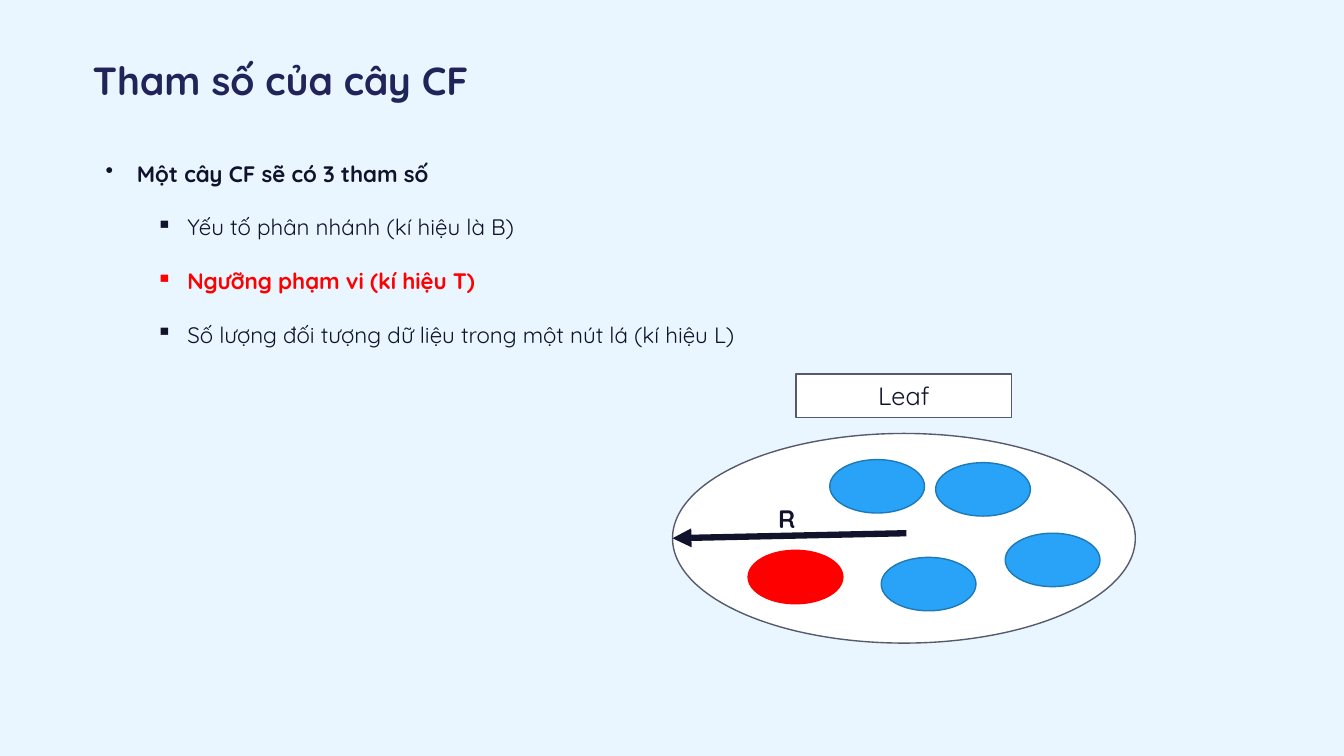
import pptx
import pptx.dml.color
import pptx.enum.shapes
import pptx.enum.text
import pptx.oxml
import pptx.oxml.ns
import pptx.util

Inches, Pt = pptx.util.Inches, pptx.util.Pt
SHAPE = pptx.enum.shapes.MSO_SHAPE
FONT = "Quicksand"
COLORS = {
    "background": "EAF6FF", "title": "212459", "ink": "10132B", "red": "FF0000",
    "white": "FFFFFF", "outline": "555B6C", "blue": "29A3F7", "blue edge": "1E79B7",
}

TITLE = "Tham số của cây CF"
# level, text, colour, bold
PARAMETERS = [
    (0, "Một cây CF sẽ có 3 tham số", "ink", True),
    (1, "Yếu tố phân nhánh (kí hiệu là B)", "ink", False),
    (1, "Ngưỡng phạm vi (kí hiệu T)", "red", True),
    (1, "Số lượng đối tượng dữ liệu trong một nút lá (kí hiệu L)", "ink", False),
]
BULLETS = "•▪"
INDENT, LEVEL_STEP = 0.31, 0.5

LEAF = (6.67, 4.3, 4.59, 2.08)
LABEL_WIDTH, LABEL_HEIGHT, LABEL_TOP = 2.14, 0.43, 3.71
ENTRY_SIZE = (0.94, 0.53)
ENTRIES = [(8.74, 5.53), (8.23, 4.56), (9.97, 5.29), (9.28, 4.59)]
NEW_ENTRY = (7.42, 5.46)
RADIUS_START = (8.99, 5.29)


def color(name):
    return pptx.dml.color.RGBColor.from_string(COLORS[name])


def style(font, size, ink, bold=False):
    font.name, font.size, font.bold = FONT, Pt(size), bold
    font.color.rgb = color(ink)


def add_text(page, place, wrap=True):
    frame = page.shapes.add_textbox(*map(Inches, place)).text_frame
    frame.word_wrap = wrap
    frame.auto_size = pptx.enum.text.MSO_AUTO_SIZE.SHAPE_TO_FIT_TEXT
    return frame


def add_line_of_text(page, place, text, size, ink, wrap=True):
    frame = add_text(page, place, wrap)
    frame.text = text
    style(frame.paragraphs[0].runs[0].font, size, ink, True)


def add_figure(page, kind, place, fill, edge):
    shape = page.shapes.add_shape(kind, *map(Inches, place))
    shape.shadow.inherit = False
    shape.fill.solid()
    shape.fill.fore_color.rgb = color(fill)
    shape.line.color.rgb = color(edge)
    shape.line.width = Pt(1)
    return shape


def add_bullet(para, level):
    properties = para._p.get_or_add_pPr()
    properties.set("marL", str(Inches(INDENT + level * LEVEL_STEP)))
    properties.set("indent", str(-Inches(INDENT)))
    bullet = pptx.oxml.parse_xml(
        f'<a:buChar {pptx.oxml.ns.nsdecls("a")} char="{BULLETS[level]}"/>')
    properties.append(bullet)


def add_parameters(page):
    frame = add_text(page, (0.95, 1.27, 9.72, 2.19))
    for index, (level, text, ink, bold) in enumerate(PARAMETERS):
        para = frame.add_paragraph() if index else frame.paragraphs[0]
        para.text = text
        para.level = level
        para.line_spacing = 2.0
        add_bullet(para, level)
        style(para.runs[0].font, 16, ink, bold)


def add_radius(page):
    left, top, _, height = LEAF
    ends = (*RADIUS_START, left, top + height / 2)
    arrow = page.shapes.add_connector(
        pptx.enum.shapes.MSO_CONNECTOR.STRAIGHT, *map(Inches, ends))
    arrow.line.color.rgb = color("ink")
    arrow.line.width = Pt(4.5)
    namespace = pptx.oxml.ns.nsdecls("a")
    arrow.line._get_or_add_ln().append(
        pptx.oxml.parse_xml(f'<a:tailEnd {namespace} type="triangle"/>'))
    arrow._element.spPr.append(pptx.oxml.parse_xml(f"<a:effectLst {namespace}/>"))


def add_leaf(page):
    add_figure(page, SHAPE.OVAL, LEAF, "white", "outline")
    label_left = LEAF[0] + (LEAF[2] - LABEL_WIDTH) / 2
    label = add_figure(page, SHAPE.RECTANGLE,
                       (label_left, LABEL_TOP, LABEL_WIDTH, LABEL_HEIGHT),
                       "white", "outline")
    label.text_frame.text = "Leaf"
    label.text_frame.vertical_anchor = pptx.enum.text.MSO_ANCHOR.MIDDLE
    para = label.text_frame.paragraphs[0]
    para.alignment = pptx.enum.text.PP_ALIGN.CENTER
    style(para.runs[0].font, 18, "ink")

    for corner in ENTRIES:
        add_figure(page, SHAPE.OVAL, corner + ENTRY_SIZE, "blue", "blue edge")
    add_radius(page)
    add_figure(page, SHAPE.OVAL, NEW_ENTRY + ENTRY_SIZE, "red", "red")
    add_line_of_text(page, (7.62, 4.94, 0.37, 0.4), "R", 18, "ink", wrap=False)


def main():
    deck = pptx.Presentation()
    deck.slide_width, deck.slide_height = Inches(13.33), Inches(7.5)
    page = deck.slides.add_slide(deck.slide_layouts[6])
    page.background.fill.solid()
    page.background.fill.fore_color.rgb = color("background")
    add_line_of_text(page, (0.82, 0.51, 12.51, 0.57), TITLE, 28, "title")
    add_parameters(page)
    add_leaf(page)
    deck.save("out.pptx")


if __name__ == "__main__":
    main()
